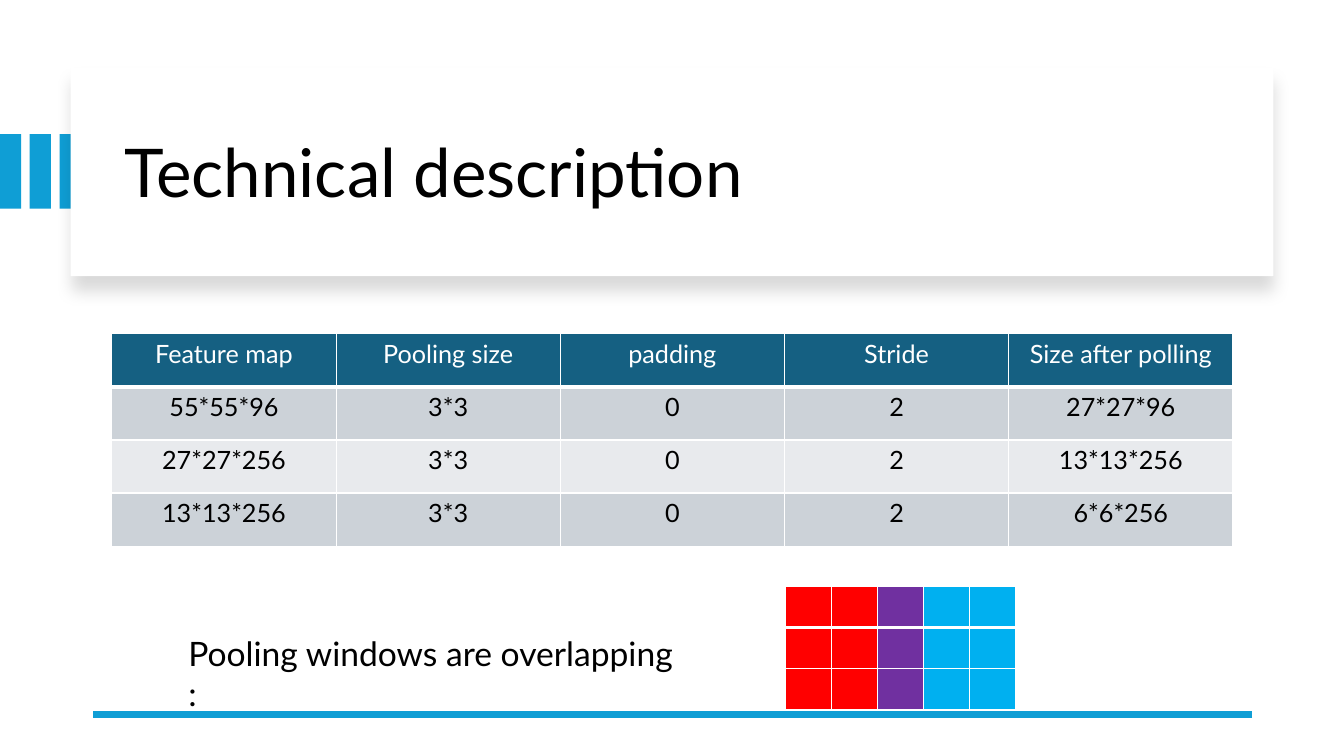
from dataclasses import dataclass

from lxml.etree import SubElement
from pptx import Presentation
from pptx.dml.color import RGBColor
from pptx.enum.shapes import MSO_CONNECTOR, MSO_SHAPE
from pptx.enum.text import MSO_ANCHOR, PP_ALIGN
from pptx.oxml import parse_xml
from pptx.oxml.ns import nsdecls, qn
from pptx.util import Inches, Pt


@dataclass(frozen=True)
class Theme:
    """Colours, font and type sizes of the slide."""
    font: str = "Lato"
    title: int = 48
    body: int = 24
    cell: int = 18
    text: str = "000000"
    paper: str = "FFFFFF"
    accent: str = "0F9ED5"
    header: str = "156082"
    bands: tuple = ("CCD2D8", "E8EAED")
    first_window: str = "FF0000"
    overlap: str = "7030A0"
    second_window: str = "00B0F0"


THEME = Theme()
POOLING = [
    ["Feature map", "Pooling size", "padding", "Stride", "Size after polling"],
    ["55*55*96", "3*3", "0", "2", "27*27*96"],
    ["27*27*256", "3*3", "0", "2", "13*13*256"],
    ["13*13*256", "3*3", "0", "2", "6*6*256"],
]


def add_run(p, text, size, color):
    """Add one styled run to a paragraph."""
    r = p.add_run()
    r.text = text
    r.font.name = THEME.font
    r.font.size = Pt(size)
    r.font.bold = False
    r.font.color.rgb = RGBColor.from_string(color)


def add_text(s, box, text, size, anchor=MSO_ANCHOR.TOP, spacing=1.0):
    """Add a wrapped text box with one paragraph."""
    tf = s.shapes.add_textbox(*map(Inches, box)).text_frame
    tf.word_wrap = True
    tf.vertical_anchor = anchor
    p = tf.paragraphs[0]
    p.line_spacing = spacing
    add_run(p, text, size, THEME.text)


def add_rect(s, box, color):
    """Add a plain filled rectangle."""
    sp = s.shapes.add_shape(MSO_SHAPE.RECTANGLE, *map(Inches, box))
    sp.shadow.inherit = False
    sp.fill.solid()
    sp.fill.fore_color.rgb = RGBColor.from_string(color)
    sp.line.fill.background()
    return sp


def add_shadow(sp):
    """Give a shape a soft shadow straight below it."""
    effects = sp._element.spPr.find(qn("a:effectLst"))
    effects.append(parse_xml(
        f'<a:outerShdw {nsdecls("a")} blurRad="{Pt(11)}" dist="{Pt(10)}" '
        'dir="5400000" algn="t" rotWithShape="0"><a:srgbClr val="000000">'
        '<a:alpha val="15000"/></a:srgbClr></a:outerShdw>'))


def add_borders(cell, top, bottom):
    """Draw the four borders of a cell, with widths in points."""
    tcPr = cell._tc.get_or_add_tcPr()
    widths = {"lnL": 1, "lnR": 1, "lnT": top, "lnB": bottom}
    for i, (side, width) in enumerate(widths.items()):
        tcPr.insert(i, parse_xml(
            f'<a:{side} {nsdecls("a")} w="{Pt(width)}"><a:solidFill>'
            f'<a:srgbClr val="{THEME.paper}"/></a:solidFill></a:{side}>'))


def add_grid(s, box, fills, texts=None):
    """Add an even table with a thick rule under its first row."""
    rows, cols = len(fills), len(fills[0])
    table = s.shapes.add_table(rows, cols, *map(Inches, box)).table
    for i, row in enumerate(fills):
        for j, color in enumerate(row):
            cell = table.cell(i, j)
            cell.fill.solid()
            cell.fill.fore_color.rgb = RGBColor.from_string(color)
            add_borders(cell, 3 if i == 1 else 1, 3 if i == 0 else 1)
            if texts:
                p = cell.text_frame.paragraphs[0]
                p.alignment = PP_ALIGN.CENTER
                add_run(p, texts[i][j], THEME.cell, THEME.text if i else THEME.paper)


def add_header(s, x, y, w, h):
    """Add the side bars and the raised title card."""
    for i in range(3):
        add_rect(s, (0.295 * i, y + 0.66, 0.21, 0.74), THEME.accent)
    add_shadow(add_rect(s, (x, y, w, h), THEME.paper))
    add_text(s, (x + 0.44, y + 0.22, w - 1.06, h - 0.37), "Technical description",
             THEME.title, MSO_ANCHOR.MIDDLE, 0.9)


def add_pooling_table(s, x, y, w, h):
    """Add the table of pooling layers."""
    fills = [[THEME.header if i == 0 else THEME.bands[(i - 1) % 2]] * len(row)
             for i, row in enumerate(POOLING)]
    add_grid(s, (x, y, w, h), fills, POOLING)


def add_overlap(s, x, y, w, h):
    """Add the overlap caption and its grid of two windows."""
    row = [THEME.first_window] * 2 + [THEME.overlap] + [THEME.second_window] * 2
    add_grid(s, (x + w - 2.28, y, 2.28, h), [row] * 3)
    add_text(s, (x, y + 0.41, 5.04, 0.5), "Pooling windows are overlapping :", THEME.body)


def add_footer_rule(s, x, y, w):
    """Add the thick rule at the foot of the slide."""
    line = s.shapes.add_connector(
        MSO_CONNECTOR.STRAIGHT, Inches(x + w), Inches(y), Inches(x), Inches(y))
    line.line.color.rgb = RGBColor.from_string(THEME.accent)
    line.line.width = Pt(4.5)
    SubElement(line._element.spPr, qn("a:effectLst"))


def main():
    """Build and save the slide."""
    prs = Presentation()
    prs.slide_width, prs.slide_height = Inches(13.33), Inches(7.5)
    s = prs.slides.add_slide(prs.slide_layouts[6])
    s.background.fill.solid()
    s.background.fill.fore_color.rgb = RGBColor.from_string(THEME.paper)
    add_header(s, 0.7, 0.67, 11.93, 2.07)
    add_footer_rule(s, 0.92, 7.09, 11.5)
    add_pooling_table(s, 1.11, 3.31, 11.12, 2.11)
    add_overlap(s, 1.77, 5.82, 8.3, 1.22)
    prs.save("out.pptx")


if __name__ == "__main__":
    main()
